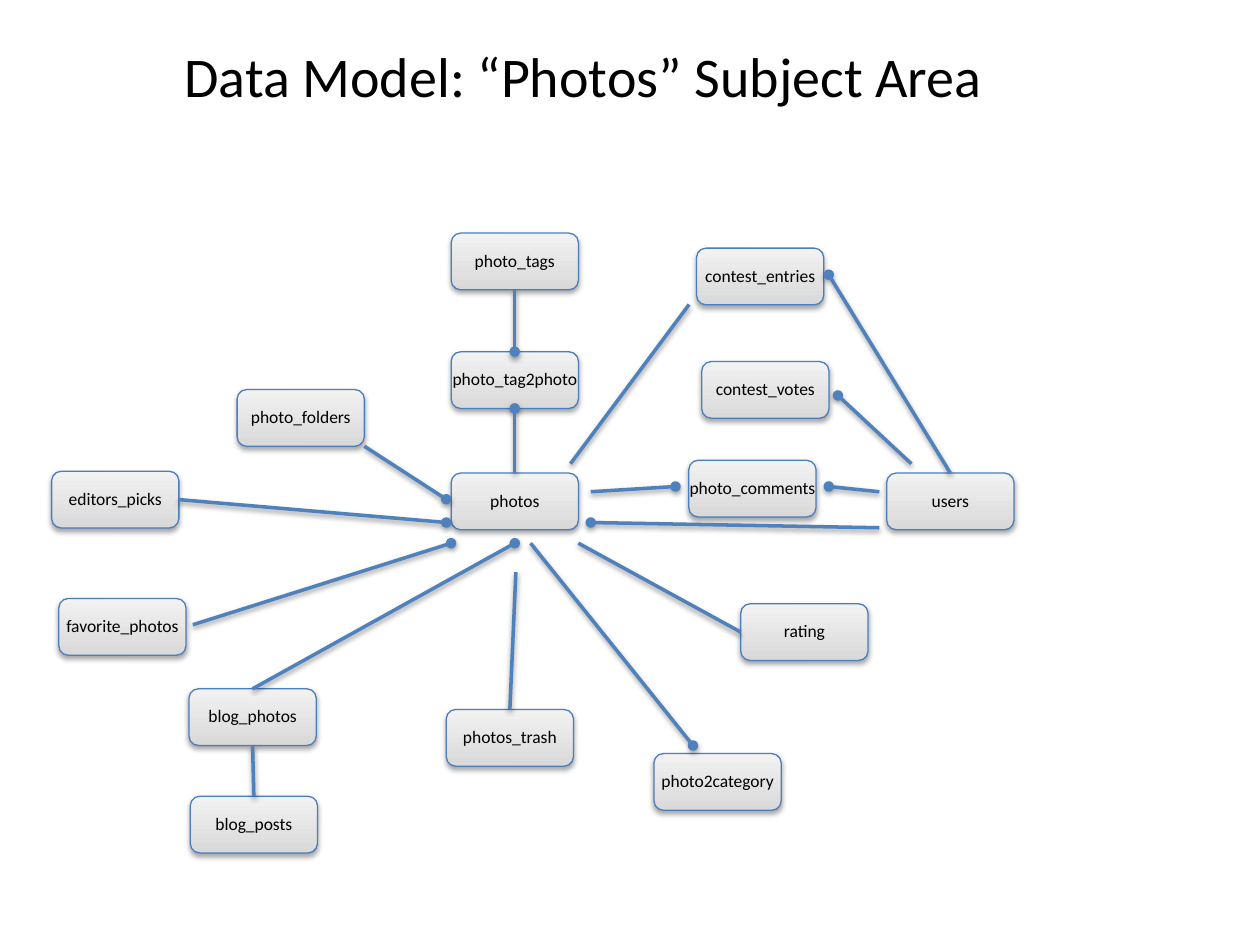
import pptx
import pptx.dml.color
import pptx.enum.dml
import pptx.enum.shapes
import pptx.enum.text
import pptx.oxml
import pptx.oxml.ns
import pptx.util
from lxml import etree

Pt = pptx.util.Pt
RGBColor = pptx.dml.color.RGBColor

BLACK = RGBColor(0x00, 0x00, 0x00)
BOX_DARK = RGBColor(0xD9, 0xD9, 0xD9)
BOX_LIGHT = RGBColor(0xF2, 0xF2, 0xF2)
BOX_LINE = RGBColor(0x4B, 0x7E, 0xBC)
RELATION = RGBColor(0x4F, 0x81, 0xBD)

BOX_WIDTH, BOX_HEIGHT = 72.7, 32.4
TOP, LEFT, BOTTOM, RIGHT = range(4)

# Left and top of each table box
TABLES = {
    "blog_posts": (108.7, 455),
    "blog_photos": (108, 393.6),
    "contest_entries": (398, 141.8),
    "contest_votes": (401, 206.6),
    "editors_picks": (29.5, 269.3),
    "favorite_photos": (33.6, 342),
    "photo_tags": (257.8, 133.2),
    "photo_tag2photo": (257.8, 201),
    "photo_comments": (393.6, 263),
    "photos": (257.8, 270.3),
    "photo2category": (373.7, 430.6),
    "photo_folders": (135.5, 222.6),
    "photos_trash": (255, 405.4),
    "rating": (423.3, 345),
    "users": (506.7, 270.3),
}

# Start, end and whether the end is a "many" dot.
# An end is a point, or a table name with the side it is joined to.
RELATIONS = [
    (("photo_tags", BOTTOM), ("photo_tag2photo", TOP), True),
    (("photos", TOP), ("photo_tag2photo", BOTTOM), True),
    ((208.2, 255), (255, 285.3), True),
    (("editors_picks", RIGHT), (255, 298.6), True),
    ((110.2, 357), (257.8, 310.4), True),
    (("blog_photos", TOP), (294.2, 310.4), True),
    (("blog_photos", BOTTOM), ("blog_posts", TOP), False),
    ((294.8, 327), ("photos_trash", TOP), False),
    ((303.2, 310.4), (396, 426), True),
    ((330.5, 310.4), ("rating", LEFT), False),
    ((502.5, 281), (473.6, 278), True),
    ((337.6, 281), (386, 278), True),
    ((520.8, 265), (478.8, 226), True),
    (("users", TOP), (473.6, 157), True),
    ((393.8, 174), (326, 265), False),
    ((502.5, 301.6), (337.6, 298.6), True),
]


def write_text(shape, text, size, color=BLACK, font="Calibri", wrap=True, bottom=0):
    """Put one centred line of text in the shape, without side margins."""
    frame = shape.text_frame
    frame.word_wrap = wrap
    frame.vertical_anchor = pptx.enum.text.MSO_ANCHOR.MIDDLE
    frame.margin_left = frame.margin_right = frame.margin_top = 0
    frame.margin_bottom = Pt(bottom)
    paragraph = frame.paragraphs[0]
    paragraph.alignment = pptx.enum.text.PP_ALIGN.CENTER
    run = paragraph.add_run()
    run.text = text
    run.font.name = font
    run.font.size = Pt(size)
    run.font.color.rgb = color


def add_shadow(properties, distance, opacity):
    """Replace the effects of a shape's spPr by a soft shadow below it."""
    for effects in properties.findall(pptx.oxml.ns.qn("a:effectLst")):
        properties.remove(effects)
    properties.append(pptx.oxml.parse_xml(
        f'<a:effectLst {pptx.oxml.ns.nsdecls("a")}>'
        f'<a:outerShdw blurRad="{Pt(3.1)}" dist="{Pt(distance)}" dir="5400000"'
        f' rotWithShape="0"><a:srgbClr val="{BLACK}">'
        f'<a:alpha val="{opacity * 1000}"/></a:srgbClr></a:outerShdw>'
        f'</a:effectLst>'))


class DataModelSlide:
    def __init__(self, slide):
        self.slide = slide
        self.boxes = {}

    def title(self, text, left, top, width, height):
        shape = self.slide.shapes.add_textbox(Pt(left), Pt(top), Pt(width), Pt(height))
        write_text(shape, text, size=32)

    def table_box(self, name, left, top):
        shape = self.slide.shapes.add_shape(
            pptx.enum.shapes.MSO_SHAPE.FLOWCHART_ALTERNATE_PROCESS,
            Pt(left), Pt(top), Pt(BOX_WIDTH), Pt(BOX_HEIGHT))
        shape.fill.gradient()
        shape.fill.gradient_angle = 90
        for stop, color, position in zip(
                shape.fill.gradient_stops, (BOX_DARK, BOX_LIGHT), (0, 1)):
            stop.color.rgb = color
            stop.position = position
        shape.line.color.rgb = BOX_LINE
        shape.line.width = Pt(0.75)
        shape.shadow.inherit = False
        add_shadow(shape.element.spPr, distance=1.8, opacity=35)
        write_text(shape, name, size=10, wrap=False, bottom=1.5)
        self.boxes[name] = shape

    def relation(self, start, end, many):
        connector = self.slide.shapes.add_connector(
            pptx.enum.shapes.MSO_CONNECTOR.STRAIGHT, *self.point(start), *self.point(end))
        if start[0] in self.boxes:
            connector.begin_connect(self.boxes[start[0]], start[1])
        if end[0] in self.boxes:
            connector.end_connect(self.boxes[end[0]], end[1])
        connector.line.color.rgb = RELATION
        connector.line.width = Pt(2)
        properties = connector.element.spPr
        if many:
            line = properties.find(pptx.oxml.ns.qn("a:ln"))
            etree.SubElement(line, pptx.oxml.ns.qn("a:tailEnd"), type="oval")
        add_shadow(properties, distance=1.6, opacity=38)

    def point(self, place):
        """Give a place as lengths; a joined end starts at its box's corner."""
        if place[0] in self.boxes:
            box = self.boxes[place[0]]
            return box.left, box.top
        return Pt(place[0]), Pt(place[1])


def main():
    presentation = pptx.Presentation()
    presentation.slide_width, presentation.slide_height = Pt(720), Pt(540)
    model = DataModelSlide(presentation.slides.add_slide(presentation.slide_layouts[6]))
    model.title("Data Model: “Photos” Subject Area", 9.4, 23, 648, 40)
    for name, (left, top) in TABLES.items():
        model.table_box(name, left, top)
    for start, end, many in RELATIONS:
        model.relation(start, end, many)
    presentation.save("out.pptx")


if __name__ == "__main__":
    main()
